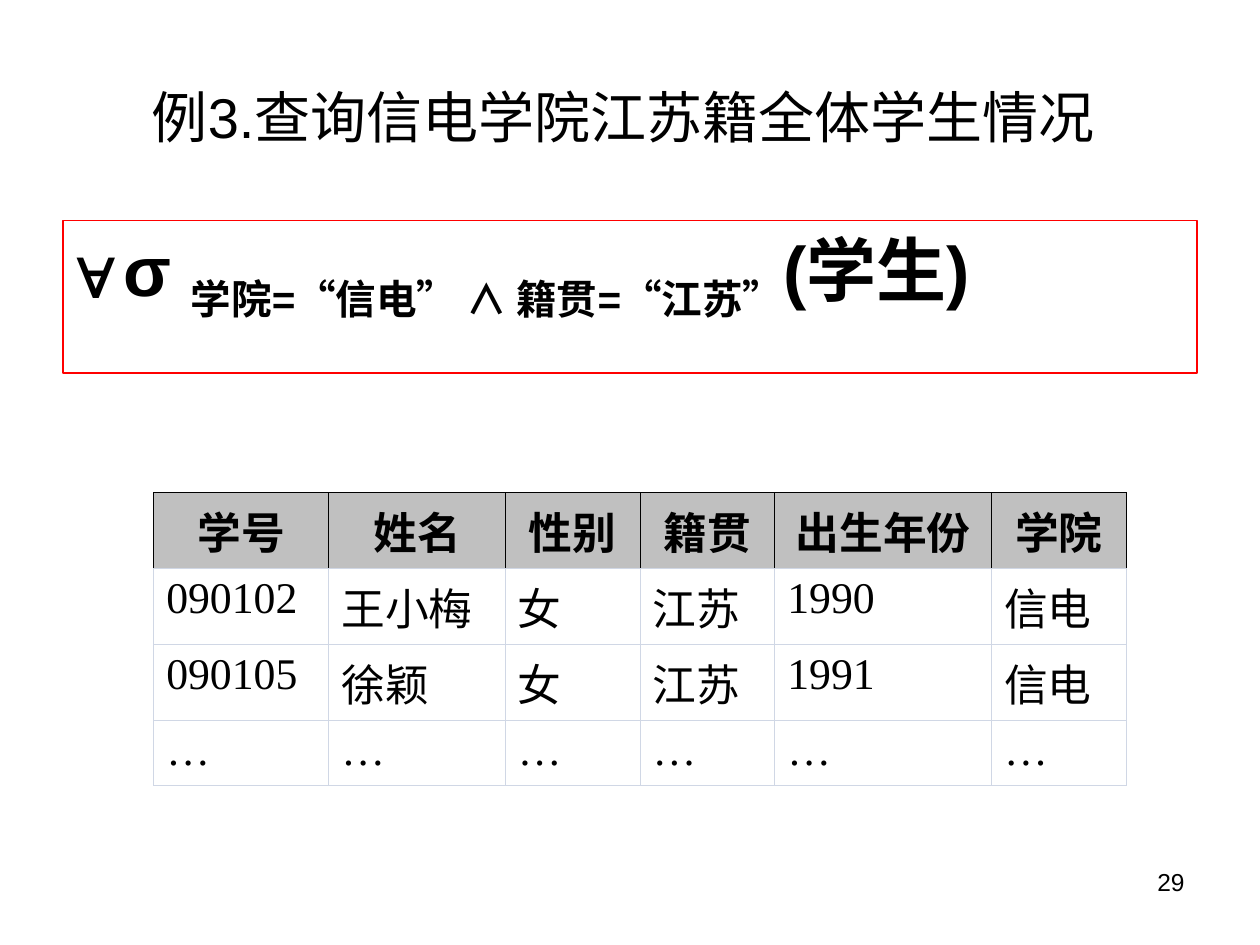
from lxml.etree import SubElement
from pptx import Presentation
from pptx.dml.color import RGBColor
from pptx.enum.text import MSO_ANCHOR, MSO_AUTO_SIZE, PP_ALIGN
from pptx.oxml.ns import qn
from pptx.util import Inches, Pt

BLACK = RGBColor(0x00, 0x00, 0x00)
RED = RGBColor(0xFF, 0x00, 0x00)
WHITE = RGBColor(0xFF, 0xFF, 0xFF)
HEADER_GRAY = RGBColor(0xC0, 0xC0, 0xC0)
GRID_BLUE = RGBColor(0xD0, 0xD7, 0xE5)

TITLE = "例3.查询信电学院江苏籍全体学生情况 "
FORMULA = [("σ ", 0), ("学院=“信电” ∧ 籍贯=“江苏”", -25), ("(学生)", 0)]
BULLET = "∀"
STUDENTS = [
    ("学号", "姓名", "性别", "籍贯", "出生年份", "学院"),
    ("090102", "王小梅", "女", "江苏", "1990", "信电"),
    ("090105", "徐颖", "女", "江苏", "1991", "信电"),
    ("…",) * 6,
]
COLUMN_WIDTHS = [1.39, 1.4, 1.07, 1.07, 1.72, 1.07]
ROW_HEIGHT = 0.52
PAGE_NUMBER = "29"

TITLE_FONT = {"name": "Arial", "size": Pt(32), "bold": False}
FORMULA_FONT = {"name": "Arial", "size": Pt(40), "bold": True}
HEADER_FONT = {"name": "Times New Roman", "size": Pt(25), "bold": True}
CELL_FONT = {**HEADER_FONT, "bold": False}
NUMBER_FONT = {"name": "Arial", "size": Pt(14), "bold": False}


def add_span(para, text, font_format):
    span = para.add_run()
    span.text = text
    for name, value in font_format.items():
        setattr(span.font, name, value)
    span.font.color.rgb = BLACK
    return span


def place(shape, left, top, width, height):
    shape.left, shape.top = Inches(left), Inches(top)
    shape.width, shape.height = Inches(width), Inches(height)


def set_bullet(para, character, indent):
    properties = para._p.get_or_add_pPr()
    properties.set("marL", str(Inches(indent)))
    properties.set("indent", str(-Inches(indent)))
    color = SubElement(properties, qn("a:buClr"))
    SubElement(color, qn("a:srgbClr"), val=str(BLACK))
    SubElement(properties, qn("a:buChar"), char=character)


def set_borders(cell, colors):
    """Draw thin borders; colors maps L, R, T and B, in that order."""
    properties = cell._tc.get_or_add_tcPr()
    for position, (side, color) in enumerate(colors.items()):
        line = SubElement(properties, qn(f"a:ln{side}"), w=str(Pt(0.45)))
        properties.insert(position, line)
        fill = SubElement(line, qn("a:solidFill"))
        SubElement(fill, qn("a:srgbClr"), val=str(color))


def add_title(page):
    title = page.shapes.title
    place(title, 0.5, 0.3, 9, 1.25)
    title.text_frame.auto_size = MSO_AUTO_SIZE.NONE
    title.text_frame.vertical_anchor = MSO_ANCHOR.MIDDLE
    para = title.text_frame.paragraphs[0]
    para.alignment = PP_ALIGN.CENTER
    add_span(para, TITLE, TITLE_FONT)


def add_formula(page):
    body = page.placeholders[1]
    place(body, 0.5, 1.75, 9, 1.21)
    body.line.color.rgb = RED
    body.line.width = Pt(0.75)
    body.text_frame.auto_size = MSO_AUTO_SIZE.NONE
    para = body.text_frame.paragraphs[0]
    set_bullet(para, BULLET, 0.38)
    para.space_before = Pt(0)
    for text, baseline in FORMULA:
        span = add_span(para, text, FORMULA_FONT)
        if baseline:
            span.font._element.set("baseline", str(baseline * 1000))


def add_student_table(page):
    frame = page.shapes.add_table(
        len(STUDENTS), len(COLUMN_WIDTHS), Inches(1.22), Inches(3.91),
        Inches(sum(COLUMN_WIDTHS)), Inches(ROW_HEIGHT * len(STUDENTS)))
    table = frame.table
    table.first_row = table.horz_banding = False
    for column, width in zip(table.columns, COLUMN_WIDTHS):
        column.width = Inches(width)
    for row_index, values in enumerate(STUDENTS):
        is_header = row_index == 0
        edge = BLACK if is_header else GRID_BLUE
        for column_index, value in enumerate(values):
            cell = table.cell(row_index, column_index)
            cell.fill.solid()
            cell.fill.fore_color.rgb = HEADER_GRAY if is_header else WHITE
            cell.vertical_anchor = MSO_ANCHOR.MIDDLE if is_header else MSO_ANCHOR.TOP
            para = cell.text_frame.paragraphs[0]
            para.alignment = PP_ALIGN.CENTER if is_header else PP_ALIGN.LEFT
            add_span(para, value, HEADER_FONT if is_header else CELL_FONT)
            set_borders(cell, {"L": edge, "R": edge, "T": edge, "B": GRID_BLUE})


def add_page_number(page):
    box = page.shapes.add_textbox(Inches(7.17), Inches(6.83), Inches(2.33), Inches(0.52))
    box.text_frame.word_wrap = True
    para = box.text_frame.paragraphs[0]
    para.alignment = PP_ALIGN.RIGHT
    add_span(para, PAGE_NUMBER, NUMBER_FONT)


def main():
    deck = Presentation()
    deck.slide_width, deck.slide_height = Inches(10), Inches(7.5)
    page = deck.slides.add_slide(deck.slide_layouts[1])
    add_title(page)
    add_formula(page)
    add_student_table(page)
    add_page_number(page)
    deck.save("out.pptx")


if __name__ == "__main__":
    main()
